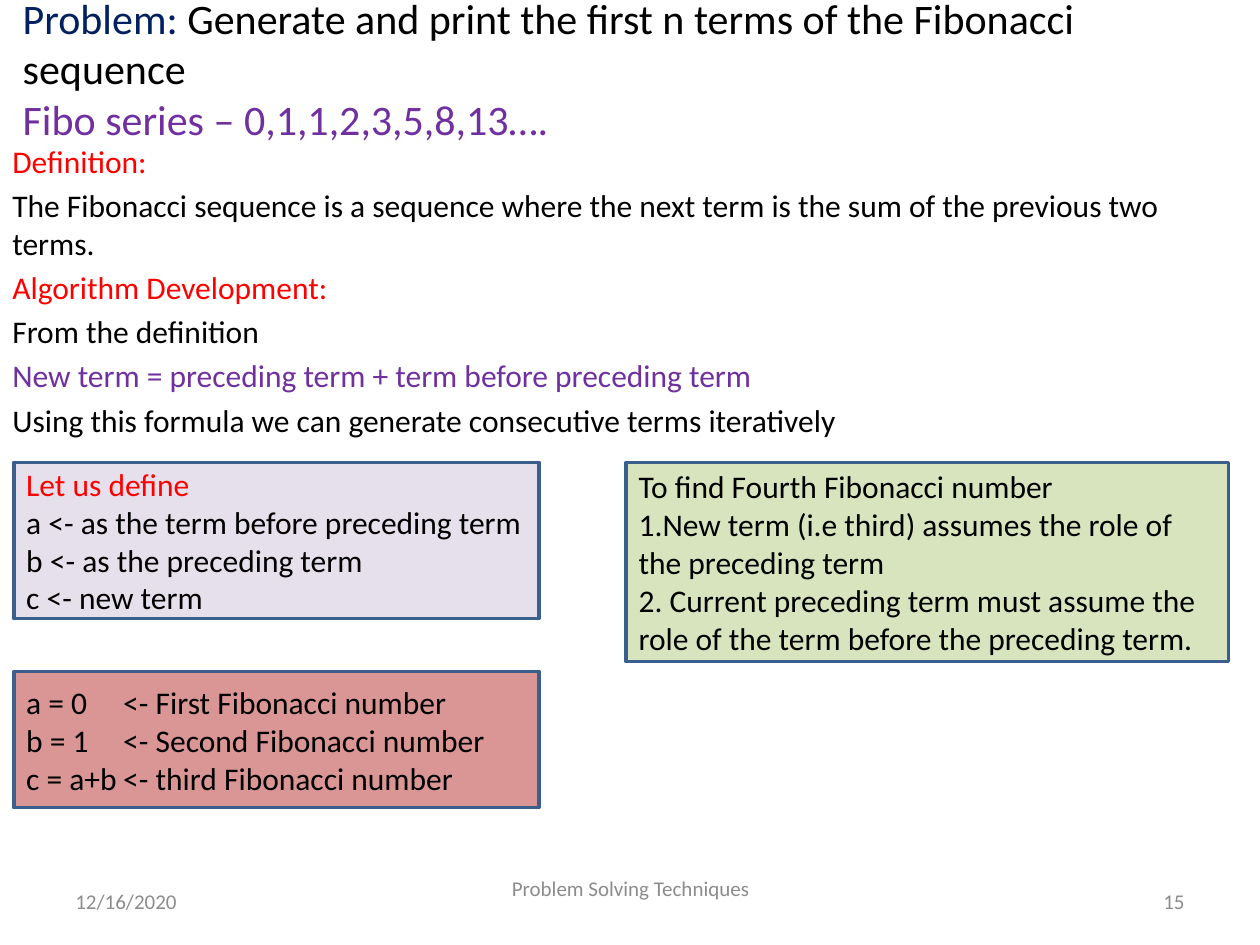
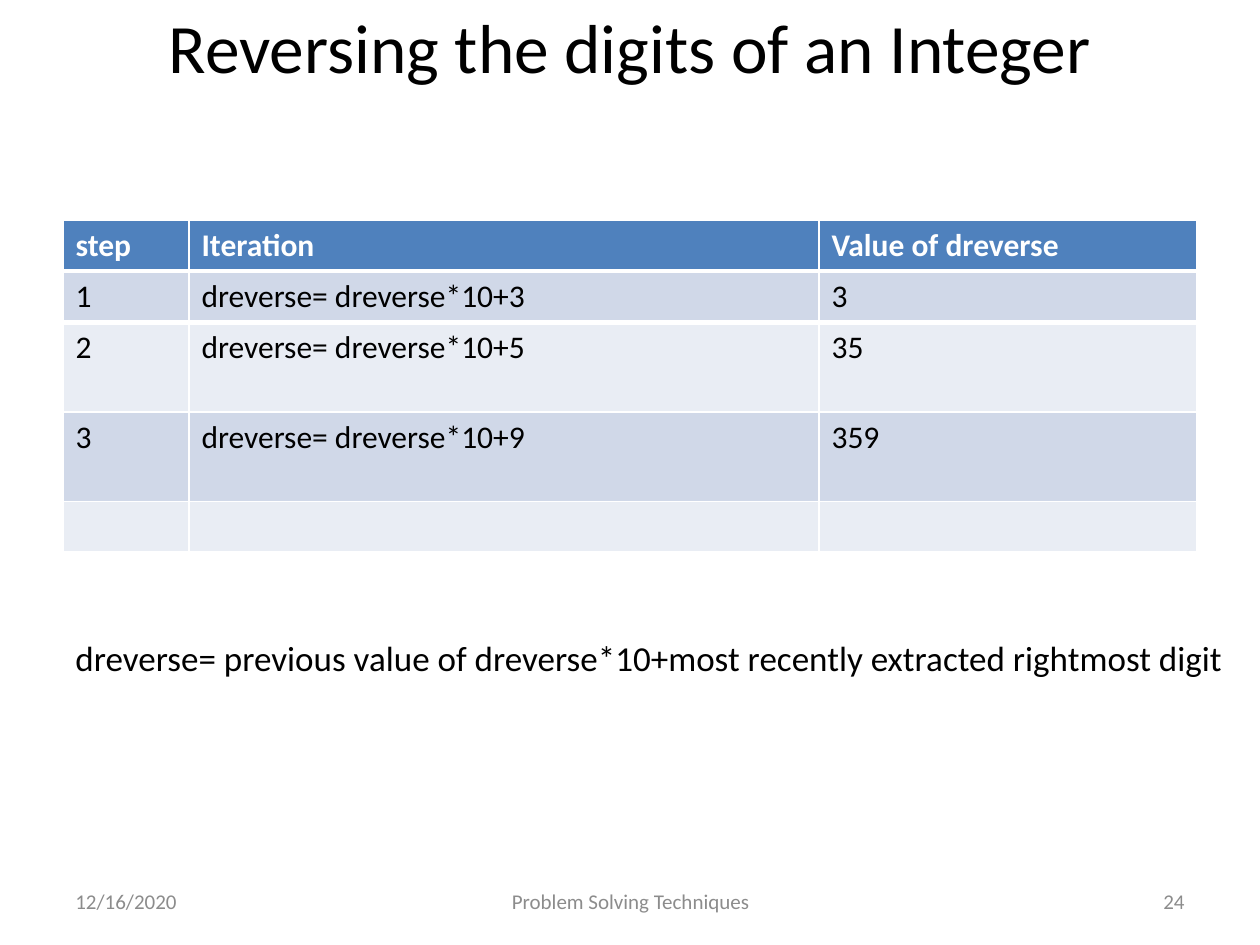
from lxml import etree
from pptx import Presentation
from pptx.dml.color import RGBColor
from pptx.enum.shapes import MSO_SHAPE
from pptx.enum.text import MSO_ANCHOR, PP_ALIGN
from pptx.oxml.ns import qn
from pptx.util import Inches, Pt

FONT = "Calibri"
BLACK = RGBColor(0x00, 0x00, 0x00)
WHITE = RGBColor(0xFF, 0xFF, 0xFF)
NAVY = RGBColor(0x00, 0x20, 0x60)
PURPLE = RGBColor(0x70, 0x30, 0xA0)
RED = RGBColor(0xFF, 0x00, 0x00)
GREY = RGBColor(0x8C, 0x8C, 0x8C)
OUTLINE = RGBColor(0x3A, 0x5F, 0x8C)
LILAC = RGBColor(0xE6, 0xE0, 0xEC)
ROSE = RGBColor(0xD9, 0x96, 0x94)
GREEN = RGBColor(0xD7, 0xE4, 0xBD)
HEADER_BLUE = RGBColor(0x4F, 0x81, 0xBD)
BAND_DARK = RGBColor(0xD0, 0xD8, 0xE8)
BAND_LIGHT = RGBColor(0xE9, 0xED, 0xF4)


def style(target, size, color, bold=False):
    target.font.name = FONT
    target.font.size = Pt(size)
    target.font.bold = bold
    target.font.color.rgb = color


def write_lines(frame, lines, size, align=PP_ALIGN.LEFT, space=0, tab=None):
    frame.word_wrap = True
    for index, (text, color) in enumerate(lines):
        para = frame.paragraphs[0] if index == 0 else frame.add_paragraph()
        para.text = text
        para.alignment = align
        if index:
            para.space_before = Pt(space)
        if tab:
            stops = etree.SubElement(para._p.get_or_add_pPr(), qn("a:tabLst"))
            etree.SubElement(stops, qn("a:tab"), pos=str(Inches(tab)), algn="l")
        style(para, size, color)


deck = Presentation()
deck.slide_width, deck.slide_height = Inches(10), Inches(7.5)
title_only = deck.slide_layouts[5]
pages = []
for number, title_place, title_size, title_align, title_spans in (
        ("15", (0.08, 0.08, 9.92, 0.92), 24, PP_ALIGN.LEFT, (
            ("Problem: ", NAVY),
            ("Generate and print the first n terms of the Fibonacci sequence ", BLACK),
            ("\n", BLACK),
            ("Fibo series – 0,1,1,2,3,5,8,13….", PURPLE))),
        ("24", (0.5, 0.3, 9, 0.78), 39.6, PP_ALIGN.CENTER, (
            ("Reversing the digits of an Integer", BLACK),
            ("\n", BLACK)))):
    page = deck.slides.add_slide(title_only)
    pages.append(page)
    title = page.shapes.title
    title.left, title.top, title.width, title.height = map(Inches, title_place)
    title.text_frame.vertical_anchor = MSO_ANCHOR.MIDDLE
    para = title.text_frame.paragraphs[0]
    para.alignment = title_align
    size_code = str(int(title_size * 100))
    for text, color in title_spans:
        if text == "\n":
            para.add_line_break()
            etree.SubElement(para._p[-1], qn("a:rPr"), sz=size_code)
        else:
            span = para.add_run()
            span.text = text
            style(span, title_size, color)
    etree.SubElement(para._p, qn("a:endParaRPr"), sz=size_code)

    for text, left, width, align in (
            ("12/16/2020", 0.5, 2.33, PP_ALIGN.LEFT),
            ("Problem Solving Techniques", 3.42, 3.17, PP_ALIGN.CENTER),
            (number, 7.17, 2.33, PP_ALIGN.RIGHT)):
        footer = page.shapes.add_textbox(
            Inches(left), Inches(6.95), Inches(width), Inches(0.4)).text_frame
        write_lines(footer, [(text, GREY)], 12, align)
        footer.vertical_anchor = MSO_ANCHOR.MIDDLE
        if page is pages[0] and align == PP_ALIGN.CENTER:
            footer.margin_top, footer.margin_bottom = 0, Inches(0.2)

fibonacci, reversing = pages
fibonacci.shapes.title.text_frame.margin_right = Inches(0.2)

body = fibonacci.shapes.add_textbox(0, Inches(1.08), Inches(10), Inches(5.62))
write_lines(body.text_frame, [
    ("Definition:", RED),
    ("The Fibonacci sequence is a sequence where the next term is the sum "
     "of the previous two terms.", BLACK),
    ("Algorithm Development:", RED),
    ("From the definition", BLACK),
    ("New term = preceding term + term before preceding term", PURPLE),
    ("Using this formula we can generate consecutive terms iteratively", BLACK),
], 18, space=3.6)

definitions = [
    ("Let us define", RED),
    ("a <- as the term before preceding term", BLACK),
    ("b <- as the preceding term", BLACK),
    ("c <- new term", BLACK),
]
first_numbers = [
    ("a = 0\t<- First Fibonacci number", BLACK),
    ("b = 1\t<- Second Fibonacci number", BLACK),
    ("c = a+b\t<- third Fibonacci number", BLACK),
]
fourth_number = [
    ("To find Fourth Fibonacci number", BLACK),
    ("1.New term (i.e third) assumes the role of the preceding term", BLACK),
    ("2. Current preceding term must assume the role of the term before "
     "the preceding term.", BLACK),
]
for place, fill, lines, tab in (
        ((0.11, 3.67, 4.17, 1.24), LILAC, definitions, None),
        ((0.11, 5.33, 4.17, 1.08), ROSE, first_numbers, 0.77),
        ((4.97, 3.67, 4.78, 1.58), GREEN, fourth_number, None)):
    box = fibonacci.shapes.add_shape(MSO_SHAPE.RECTANGLE, *map(Inches, place))
    box.shadow.inherit = False
    box.fill.solid()
    box.fill.fore_color.rgb = fill
    box.line.color.rgb = OUTLINE
    box.line.width = Pt(2)
    box.text_frame.vertical_anchor = MSO_ANCHOR.MIDDLE
    write_lines(box.text_frame, lines, 18, tab=tab)

rows = [
    ("step", "Iteration", "Value of dreverse"),
    ("1", "dreverse= dreverse*10+3", "3"),
    ("2", "dreverse= dreverse*10+5", "35"),
    ("3", "dreverse= dreverse*10+9", "359"),
    ("", "", ""),
]
table = reversing.shapes.add_table(
    len(rows), 3, Inches(0.5), Inches(1.75), Inches(9), Inches(2.62)).table
for column, width in zip(table.columns, (1, 5, 3)):
    column.width = Inches(width)
for row_index, (values, height) in enumerate(zip(rows, (0.4, 0.41, 0.71, 0.71, 0.4))):
    table.rows[row_index].height = Inches(height)
    header = row_index == 0
    band = HEADER_BLUE if header else BAND_DARK if row_index % 2 else BAND_LIGHT
    for column_index, value in enumerate(values):
        cell = table.cell(row_index, column_index)
        cell.text = value
        cell.fill.solid()
        cell.fill.fore_color.rgb = band
        style(cell.text_frame.paragraphs[0], 18, WHITE if header else BLACK, header)
        if row_index < 2:
            edge = etree.Element(qn("a:lnB" if header else "a:lnT"), w=str(Pt(3)))
            paint = etree.SubElement(edge, qn("a:solidFill"))
            etree.SubElement(paint, qn("a:srgbClr"), val=str(WHITE))
            cell._tc.get_or_add_tcPr().insert(0, edge)

formula = reversing.shapes.add_textbox(
    Inches(0.5), Inches(5), Inches(9.39), Inches(0.44)).text_frame
write_lines(formula, [
    ("dreverse= previous value of dreverse*10+most recently extracted "
     "rightmost digit", BLACK)], 20)
formula.word_wrap = False

deck.save("out.pptx")
